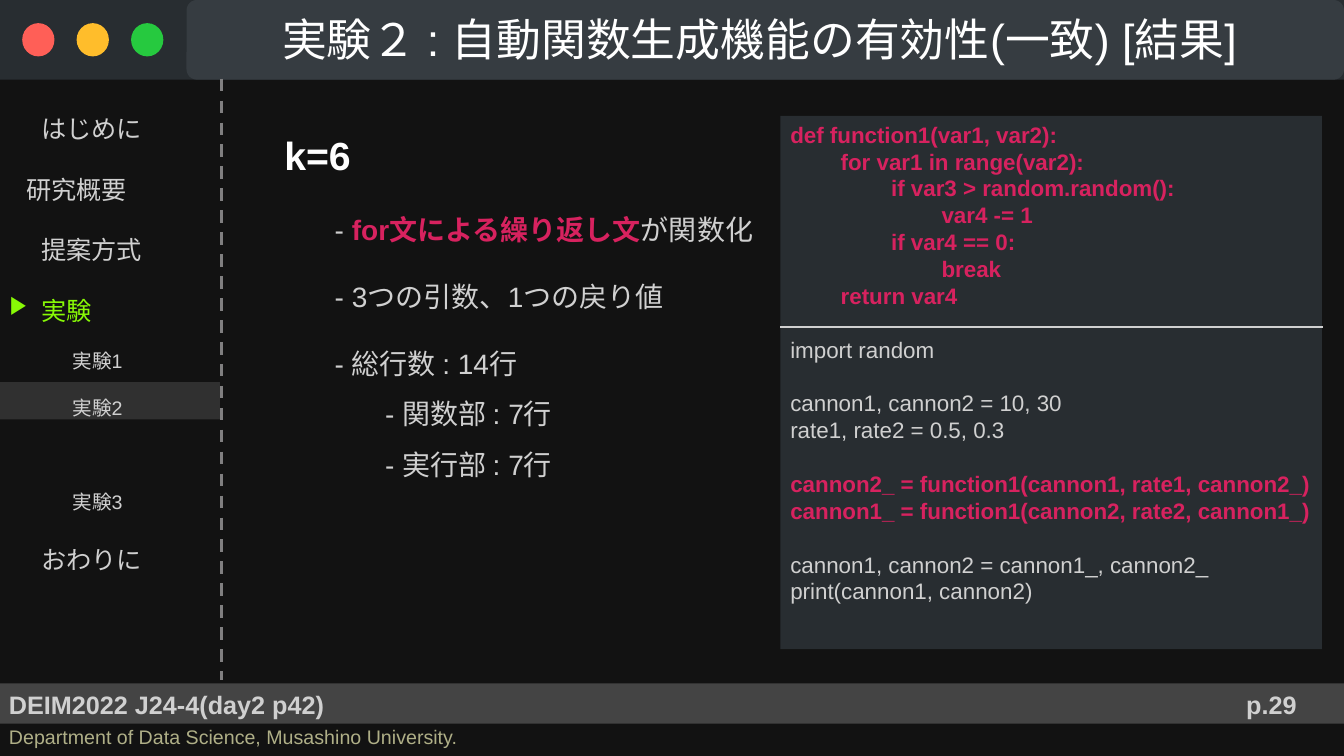
from lxml.etree import SubElement
from pptx import Presentation
from pptx.dml.color import RGBColor
from pptx.enum.dml import MSO_LINE
from pptx.enum.shapes import MSO_CONNECTOR, MSO_SHAPE
from pptx.enum.text import MSO_ANCHOR, PP_ALIGN
from pptx.oxml.ns import qn
from pptx.util import Inches, Pt

BACKGROUND = RGBColor(0x12, 0x12, 0x12)
BAR = RGBColor(0x44, 0x44, 0x44)
PANEL = RGBColor(0x28, 0x2D, 0x31)
TAB = RGBColor(0x36, 0x3C, 0x41)
HIGHLIGHT = RGBColor(0x30, 0x30, 0x30)
RED = RGBColor(0xFF, 0x5F, 0x57)
YELLOW = RGBColor(0xFF, 0xBD, 0x2B)
GREEN = RGBColor(0x26, 0xC9, 0x3F)
DASH = RGBColor(0x80, 0x7F, 0x80)
TEXT = RGBColor(0xD0, 0xD0, 0xD0)
WHITE = RGBColor(0xFF, 0xFF, 0xFF)
KHAKI = RGBColor(0xAF, 0xAF, 0x87)
PINK = RGBColor(0xD7, 0x22, 0x5F)
LIME = RGBColor(0x88, 0xF9, 0x06)


class SlideBuilder:
    font = "Arial"

    def __init__(self, slide):
        self.s = slide
        fill = slide.background.fill
        fill.solid()
        fill.fore_color.rgb = BACKGROUND

    def shape(self, kind, box, color):
        sp = self.s.shapes.add_shape(kind, *map(Inches, box))
        sp.shadow.inherit = False
        sp.fill.solid()
        sp.fill.fore_color.rgb = color
        sp.line.fill.background()
        return sp

    def line(self, start, end, color, width, dash=None):
        ln = self.s.shapes.add_connector(
            MSO_CONNECTOR.STRAIGHT, *map(Inches, start + end))
        ln.line.color.rgb = color
        ln.line.width = Pt(width)
        if dash:
            ln.line.dash_style = dash
        SubElement(ln._element.spPr, qn("a:effectLst"))

    def text(self, box, paragraphs, **frame):
        sp = self.s.shapes.add_textbox(*map(Inches, box))
        self.fill_text(sp.text_frame, paragraphs, **frame)

    def fill_text(self, tf, paragraphs, **frame):
        for name, value in ({"word_wrap": True} | frame).items():
            setattr(tf, name, value)
        for i, (runs, indent, style) in enumerate(paragraphs):
            p = tf.paragraphs[0] if i == 0 else tf.add_paragraph()
            p._p.get_or_add_pPr().set("marL", str(Inches(indent)))
            for name, value in style.items():
                setattr(p, name, value)
            for content, size, color, bold in runs:
                r = p.add_run()
                r.text = content
                font = {"name": self.font, "size": Pt(size), "bold": bold}
                for name, value in font.items():
                    setattr(r.font, name, value)
                r.font.color.rgb = color


def add_frame(b):
    b.shape(MSO_SHAPE.RECTANGLE, (0, 6.78, 13.33, 0.4), BAR)
    b.shape(MSO_SHAPE.RECTANGLE, (0, 0, 13.33, 0.79), PANEL)
    for i, color in enumerate((RED, YELLOW, GREEN)):
        b.shape(MSO_SHAPE.OVAL, (0.22 + 0.54 * i, 0.23, 0.32, 0.33), color)
    tab = b.shape(MSO_SHAPE.ROUNDED_RECTANGLE, (1.85, 0, 11.48, 0.79), TAB)
    tab.adjustments[0] = 0.13
    b.line((2.2, 0.78), (2.2, 6.75), DASH, 2.25, MSO_LINE.DASH)
    b.text((2.2, 0.06, 11.14, 0.64), [
        ([("実験２ : 自動関数生成機能の有効性(一致) [結果]", 32, WHITE, False)],
         0.5, {})], vertical_anchor=MSO_ANCHOR.MIDDLE)
    b.text((-0.01, 6.79, 6.68, 0.4), [
        ([("DEIM2022 J24-4(day2 p42)", 18, TEXT, True)], 0, {})])
    b.text((-0.01, 7.14, 6.68, 0.34), [
        ([("Department of Data Science, Musashino University.", 14, KHAKI,
           False)], 0, {})])
    b.text((11.88, 6.79, 1.46, 0.4), [
        ([("p.29", 18, TEXT, True)], 0, {"alignment": PP_ALIGN.CENTER})],
        vertical_anchor=MSO_ANCHOR.MIDDLE)


def add_sidebar(b):
    items = [
        ("はじめに", 18, TEXT, 0.31, 0), ("研究概要", 18, TEXT, 0.16, 0),
        ("提案方式", 18, TEXT, 0.31, 0), ("実験", 18, LIME, 0.31, 0),
        ("実験1", 14, TEXT, 0.62, 0), ("実験2", 14, TEXT, 0.62, 0),
        ("実験3", 14, TEXT, 0.62, 33.6), ("おわりに", 18, TEXT, 0.31, 0),
    ]
    b.shape(MSO_SHAPE.RECTANGLE, (0, 3.79, 2.18, 0.37), HIGHLIGHT)
    b.text((0, 0.78, 2.2, 5.97), [
        ([(label, size, color, False)], indent,
         {"line_spacing": 2.0, "space_before": Pt(gap)})
        for label, size, color, indent, gap in items])
    b.text((0, 2.81, 0.46, 0.4), [([("▶", 18, LIME, False)], 0, {})])


def add_findings(b):
    findings = [
        ([("k=6", 28, WHITE, True)], 0.5, 1.5),
        ([("- ", 20, TEXT, False), ("for文による繰り返し文", 20, PINK, True),
          ("が関数化", 20, TEXT, False)], 1, 2.0),
        ([("- 3つの引数、1つの戻り値", 20, TEXT, False)], 1, 2.0),
        ([("- 総行数 : 14行", 20, TEXT, False)], 1, 2.0),
        ([("- 関数部 : 7行", 20, TEXT, False)], 1.5, 1.5),
        ([("- 実行部 : 7行", 20, TEXT, False)], 1.5, 1.5),
    ]
    b.text((2.2, 0.95, 11.14, 2.36), [
        (runs, indent, {"line_spacing": spacing})
        for runs, indent, spacing in findings],
        word_wrap=False, margin_left=Inches(0.12), margin_top=Inches(0.12))


def add_code(b):
    blocks = [
        (PINK, True, [(0, "def function1(var1, var2):"),
                      (1, "for var1 in range(var2):"),
                      (2, "if var3 > random.random():"),
                      (3, "var4 -= 1"),
                      (2, "if var4 == 0:"),
                      (3, "break"),
                      (1, "return var4")]),
        (TEXT, False, [(0, "import random")]),
        (TEXT, False, [(0, "cannon1, cannon2 = 10, 30"),
                       (0, "rate1, rate2 = 0.5, 0.3")]),
        (PINK, True, [(0, "cannon2_ = function1(cannon1, rate1, cannon2_)"),
                      (0, "cannon1_ = function1(cannon2, rate2, cannon1_)")]),
        (TEXT, False, [(0, "cannon1, cannon2 = cannon1_, cannon2_"),
                       (0, "print(cannon1, cannon2)")]),
    ]
    lines = [
        ([(code, 16, color, bold)], 0.5 * level,
         {"alignment": PP_ALIGN.LEFT,
          "space_before": Pt(19.2 if n and not i else 0)})
        for n, (color, bold, block) in enumerate(blocks)
        for i, (level, code) in enumerate(block)]
    panel = b.shape(MSO_SHAPE.RECTANGLE, (7.74, 1.15, 5.37, 5.29), PANEL)
    b.fill_text(panel.text_frame, lines, word_wrap=False,
                vertical_anchor=MSO_ANCHOR.TOP)
    b.line((7.74, 3.24), (13.12, 3.24), TEXT, 1.5)


def main():
    prs = Presentation()
    prs.slide_width, prs.slide_height = Inches(13.33), Inches(7.5)
    b = SlideBuilder(prs.slides.add_slide(prs.slide_layouts[6]))
    for add_part in (add_frame, add_sidebar, add_findings, add_code):
        add_part(b)
    prs.save("out.pptx")


if __name__ == "__main__":
    main()
